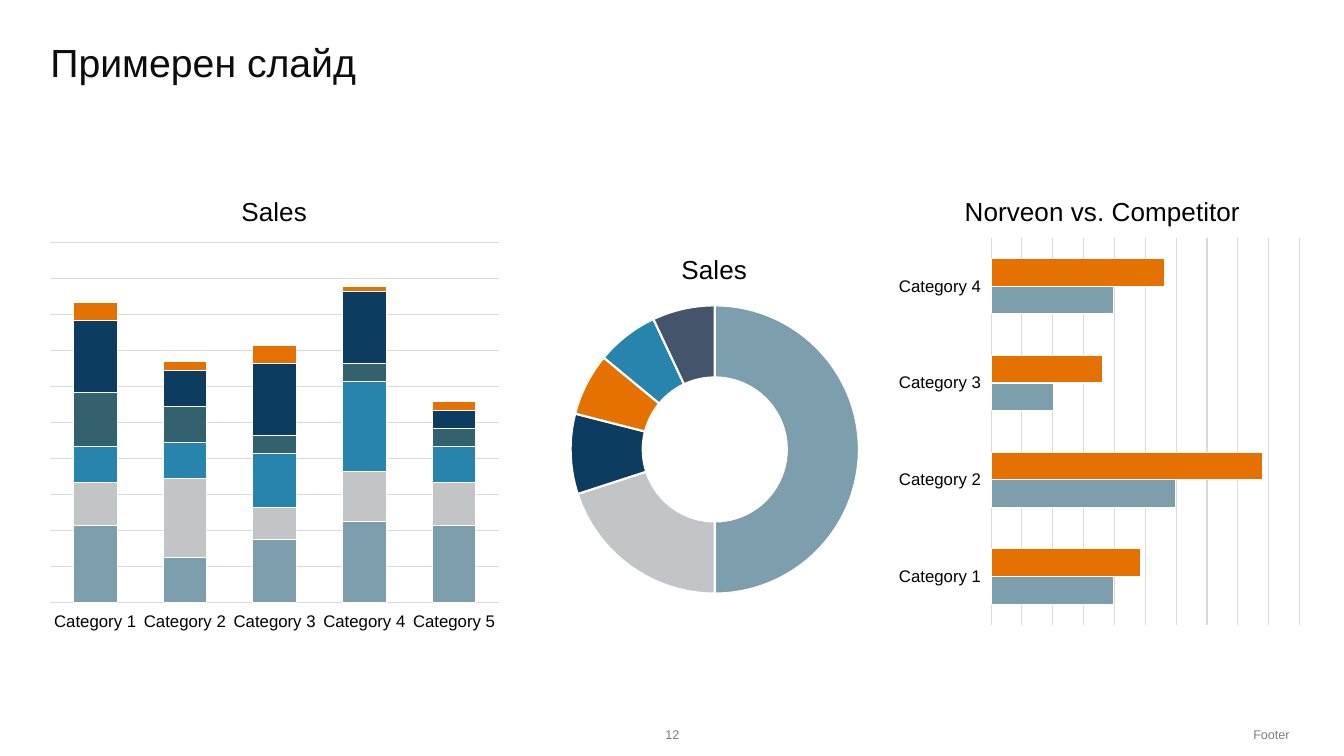
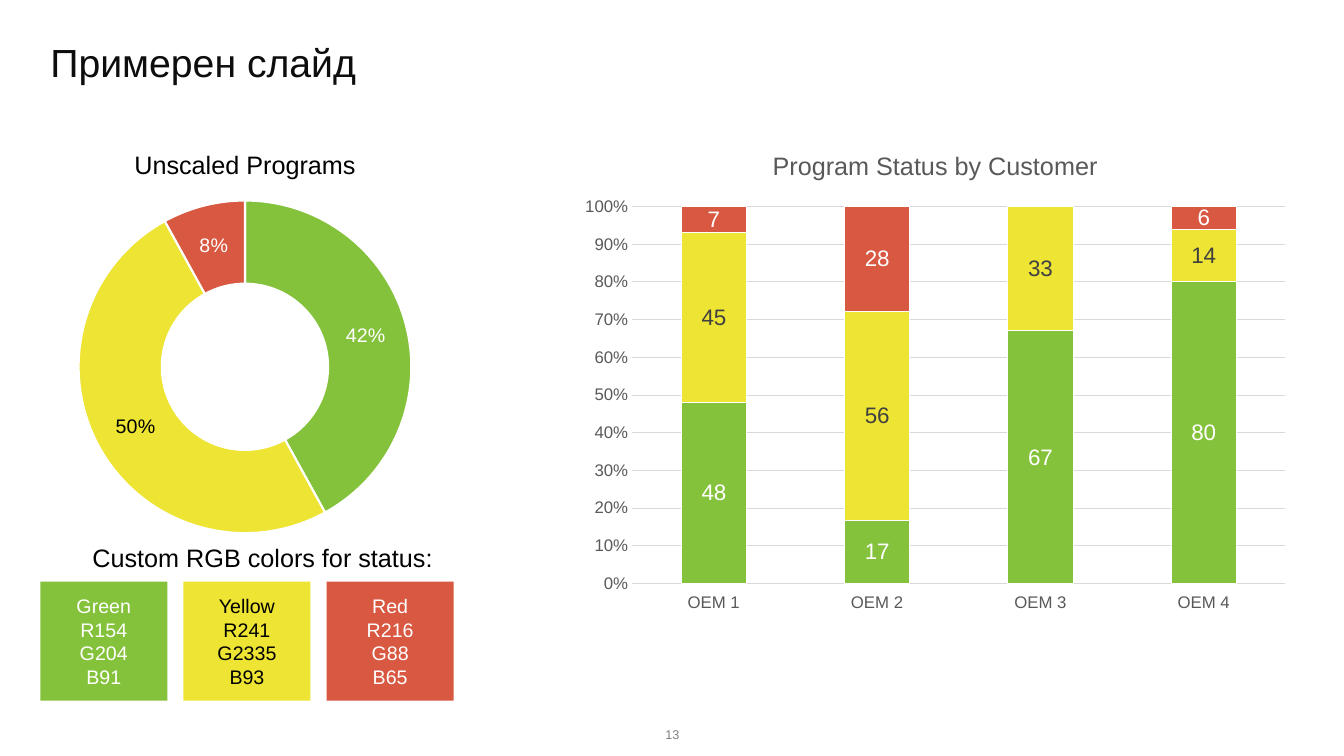
from lxml import etree
from pptx import Presentation
from pptx.chart.data import CategoryChartData
from pptx.dml.color import RGBColor
from pptx.enum.chart import XL_CHART_TYPE, XL_TICK_LABEL_POSITION, XL_TICK_MARK
from pptx.enum.shapes import MSO_SHAPE
from pptx.enum.text import MSO_ANCHOR, MSO_AUTO_SIZE, PP_ALIGN
from pptx.oxml.ns import qn
from pptx.util import Inches, Pt

STACKED = XL_CHART_TYPE.COLUMN_STACKED
STACKED_100 = XL_CHART_TYPE.COLUMN_STACKED_100
CLUSTERED_BARS = XL_CHART_TYPE.BAR_CLUSTERED
DOUGHNUT = XL_CHART_TYPE.DOUGHNUT
NO_TICK = XL_TICK_MARK.NONE
LOW_LABELS = XL_TICK_LABEL_POSITION.LOW
RECTANGLE = MSO_SHAPE.RECTANGLE
MIDDLE, TOP = MSO_ANCHOR.MIDDLE, MSO_ANCHOR.TOP
NO_AUTOFIT = MSO_AUTO_SIZE.NONE
LEFT, CENTER, RIGHT = PP_ALIGN.LEFT, PP_ALIGN.CENTER, PP_ALIGN.RIGHT

FONT = "Arial"
COLORS = {
    "white": "FFFFFF",
    "black": "000000",
    "title": "0D0D0D",
    "footer": "808080",
    "axis_text": "595959",
    "dark_label": "404040",
    "grid": "D9D9D9",
    "steel": "7D9EAD",
    "silver": "C2C4C5",
    "blue": "2684AD",
    "teal": "33626E",
    "navy": "0C3D60",
    "orange": "E57200",
    "slate": "44546A",
    "green": "85C23C",
    "yellow": "EDE433",
    "red": "D85841",
}


def rgb(name):
    return RGBColor.from_string(COLORS[name])


def style_font(font, size, color):
    font.name = FONT
    font.size = Pt(size)
    font.bold = False
    font.color.rgb = rgb(color)


def style_line(line, color, width=0.75):
    line.color.rgb = rgb(color)
    line.width = Pt(width)


def write_lines(text_frame, lines, size, color, alignment, anchor=MIDDLE):
    """Write each line as one paragraph."""
    text_frame.word_wrap = True
    text_frame.auto_size = NO_AUTOFIT
    text_frame.vertical_anchor = anchor
    for index, line in enumerate(lines):
        paragraph = text_frame.add_paragraph() if index else text_frame.paragraphs[0]
        paragraph.alignment = alignment
        run = paragraph.add_run()
        run.text = line
        style_font(run.font, size, color)


def add_text(slide, frame, text, size, color, alignment, anchor=MIDDLE):
    box = slide.shapes.add_textbox(*map(Inches, frame))
    write_lines(box.text_frame, [text], size, color, alignment, anchor)


def add_slide(presentation, title, number, footer=None):
    slide = presentation.slides.add_slide(presentation.slide_layouts.get_by_name("Title Only"))
    shape = slide.shapes.title
    shape.left, shape.top, shape.width, shape.height = map(Inches, (0.4, 0.2, 11.03, 0.88))
    write_lines(shape.text_frame, [title], 28, "title", LEFT)
    shape.text_frame.paragraphs[0].line_spacing = 0.9
    add_text(slide, (5.17, 7.09, 3, 0.4), str(number), 9, "footer", CENTER)
    if footer:
        add_text(slide, (8.39, 7.09, 4.5, 0.4), footer, 9, "footer", RIGHT)
    return slide


def place_plot(chart, frame, plot_frame):
    """Fix the inner plot area; both frames are in slide inches."""
    plot_area = chart.element.xpath(".//c:plotArea")[0]
    for old_layout in plot_area.findall(qn("c:layout")):
        plot_area.remove(old_layout)
    layout = etree.Element(qn("c:layout"))
    plot_area.insert(0, layout)
    manual = etree.SubElement(layout, qn("c:manualLayout"))
    left, top, width, height = frame
    plot_left, plot_top, plot_width, plot_height = plot_frame
    settings = {
        "layoutTarget": "inner",
        "xMode": "edge",
        "yMode": "edge",
        "x": (plot_left - left) / width,
        "y": (plot_top - top) / height,
        "w": plot_width / width,
        "h": plot_height / height,
    }
    for tag, value in settings.items():
        etree.SubElement(manual, qn("c:" + tag)).set("val", str(value))


def add_chart(slide, kind, frame, plot_frame, title, categories, series,
              title_size=18.6, title_color="black"):
    """Add a titled chart; series is a list of (name, values)."""
    data = CategoryChartData()
    data.categories = categories
    for name, values in series:
        data.add_series(name, values)
    chart = slide.shapes.add_chart(kind, *map(Inches, frame), data).chart
    style_font(chart.font, 10, "black")
    chart.has_legend = False
    chart.has_title = True
    run = chart.chart_title.text_frame.paragraphs[0].add_run()
    run.text = title
    style_font(run.font, title_size, title_color)
    place_plot(chart, frame, plot_frame)
    return chart


def add_bar_chart(slide, kind, frame, plot_frame, title, categories, series, gap, maximum, step,
                  overlap=0, axis_color="black", **title_style):
    """Add a bar or column chart; series is a list of (values, color)."""
    named = [(f"Series {number}", values) for number, (values, _) in enumerate(series, 1)]
    chart = add_chart(slide, kind, frame, plot_frame, title, categories, named, **title_style)
    plot = chart.plots[0]
    plot.vary_by_categories = False
    plot.gap_width = gap
    plot.overlap = overlap
    for bars, (_, color) in zip(plot.series, series):
        bars.invert_if_negative = False
        bars.format.fill.solid()
        bars.format.fill.fore_color.rgb = rgb(color)
        style_line(bars.format.line, "white")

    category_axis, value_axis = chart.category_axis, chart.value_axis
    for axis in (category_axis, value_axis):
        axis.major_tick_mark = axis.minor_tick_mark = NO_TICK
        style_font(axis.tick_labels.font, 12, axis_color)
    category_axis.tick_label_position = LOW_LABELS
    style_line(category_axis.format.line, "grid")
    value_axis.minimum_scale = 0
    value_axis.maximum_scale = maximum
    value_axis.major_unit = step
    value_axis.has_major_gridlines = True
    style_line(value_axis.major_gridlines.format.line, "grid")
    value_axis.format.line.fill.background()
    return chart


def add_doughnut(slide, frame, plot_frame, title, slices, **title_style):
    """Add a doughnut chart; slices is a list of (value, color)."""
    categories = [str(number) for number in range(1, len(slices) + 1)]
    values = [value for value, _ in slices]
    chart = add_chart(slide, DOUGHNUT, frame, plot_frame, title, categories,
                      [(title, values)], **title_style)
    chart.element.xpath(".//c:holeSize")[0].set("val", "65")
    for index, (_, color) in enumerate(slices):
        point_format = chart.plots[0].series[0].points[index].format
        point_format.fill.solid()
        point_format.fill.fore_color.rgb = rgb(color)
        style_line(point_format.line, "white", 1.5)
    return chart


def label_percentages(chart, dark_point):
    """Label all slices in white, except one in black."""
    series = chart.plots[0].series[0]
    labels = series.data_labels
    labels.show_percentage = True
    labels.show_value = False
    style_font(labels.font, 14, "white")
    style_font(series.points[dark_point].data_label.font, 14, "black")
    for tag, value in (("showVal", "0"), ("showPercent", "1")):
        for flag in chart.element.xpath(f".//c:dLbl/c:{tag}"):
            flag.set("val", value)


def label_values(chart, colors):
    for series, color in zip(chart.plots[0].series, colors):
        labels = series.data_labels
        labels.show_value = True
        labels.number_format = "0;;;"  # zero stays blank
        labels.number_format_is_linked = False
        style_font(labels.font, 16, color)


def add_swatch(slide, frame, fill, text_color, lines):
    shape = slide.shapes.add_shape(RECTANGLE, *map(Inches, frame))
    shape.shadow.inherit = False
    shape.fill.solid()
    shape.fill.fore_color.rgb = rgb(fill)
    shape.line.fill.background()
    write_lines(shape.text_frame, lines, 14, text_color, CENTER)


def build_sales_slide(presentation):
    slide = add_slide(presentation, "Примерен слайд", 12, "Footer")
    categories = [f"Category {number}" for number in range(1, 6)]
    columns = add_bar_chart(
        slide, STACKED, (0.4, 1.74, 4.64, 4.56), (0.5, 2.41, 4.45, 3.57), "Sales", categories,
        [((86, 50, 70, 90, 86), "steel"),
         ((48, 88, 36, 56, 48), "silver"),
         ((40, 40, 60, 100, 40), "blue"),
         ((60, 40, 20, 20, 20), "teal"),
         ((80, 40, 80, 80, 20), "navy"),
         ((20, 10, 20, 5, 10), "orange")],
        gap=106, maximum=400, step=40, overlap=100)
    add_doughnut(
        slide, (5.27, 2.33, 3.63, 3.71), (5.66, 3.03, 2.86, 2.86), "Sales",
        [(50, "steel"), (20, "silver"), (9, "navy"), (7, "orange"), (7, "blue"), (7, "slate")])
    bars = add_bar_chart(
        slide, CLUSTERED_BARS, (8.9, 1.74, 4.07, 4.56), (9.83, 2.36, 3.06, 3.84),
        "Norveon vs. Competitor", categories[:4],
        [((45, 68, 23, 45), "steel"), ((55, 100, 41, 64), "orange")],
        gap=150, maximum=113.6, step=11.36)
    for chart in (columns, bars):
        chart.value_axis.visible = False


def build_status_slide(presentation):
    slide = add_slide(presentation, "Примерен слайд", 13)
    programs = add_doughnut(
        slide, (0.4, 1.29, 4.06, 4.15), (0.78, 1.99, 3.3, 3.3), "Unscaled Programs",
        [(42, "green"), (50, "yellow"), (8, "red")], title_size=18)
    label_percentages(programs, dark_point=1)

    customers = add_bar_chart(
        slide, STACKED_100, (5.66, 1.29, 7.23, 4.82), (6.27, 2.05, 6.48, 3.74),
        "Program Status by Customer", [f"OEM {number}" for number in range(1, 5)],
        [((48, 17, 67, 80), "green"), ((45, 56, 33, 14), "yellow"), ((7, 28, 0, 6), "red")],
        gap=150, maximum=1, step=0.1, overlap=100, axis_color="axis_text",
        title_size=18, title_color="axis_text")
    tick_labels = customers.value_axis.tick_labels
    tick_labels.number_format = "0%"
    tick_labels.number_format_is_linked = False
    label_values(customers, ("white", "dark_label", "white"))

    swatches = [
        ("green", "white", ("Green", "R154", "G204", "B91")),
        ("yellow", "black", ("Yellow", "R241", "G2335", "B93")),
        ("red", "white", ("Red", "R216", "G88", "B65")),
    ]
    for index, swatch in enumerate(swatches):
        add_swatch(slide, (0.4 + index * 1.42, 5.77, 1.26, 1.18), *swatch)
    add_text(slide, (0.4, 5.33, 4.41, 0.4), "Custom RGB colors for status:", 18, "black", CENTER, TOP)


def main():
    presentation = Presentation()
    presentation.slide_width = Inches(13.33)
    presentation.slide_height = Inches(7.5)
    build_sales_slide(presentation)
    build_status_slide(presentation)
    presentation.save("out.pptx")


if __name__ == "__main__":
    main()
